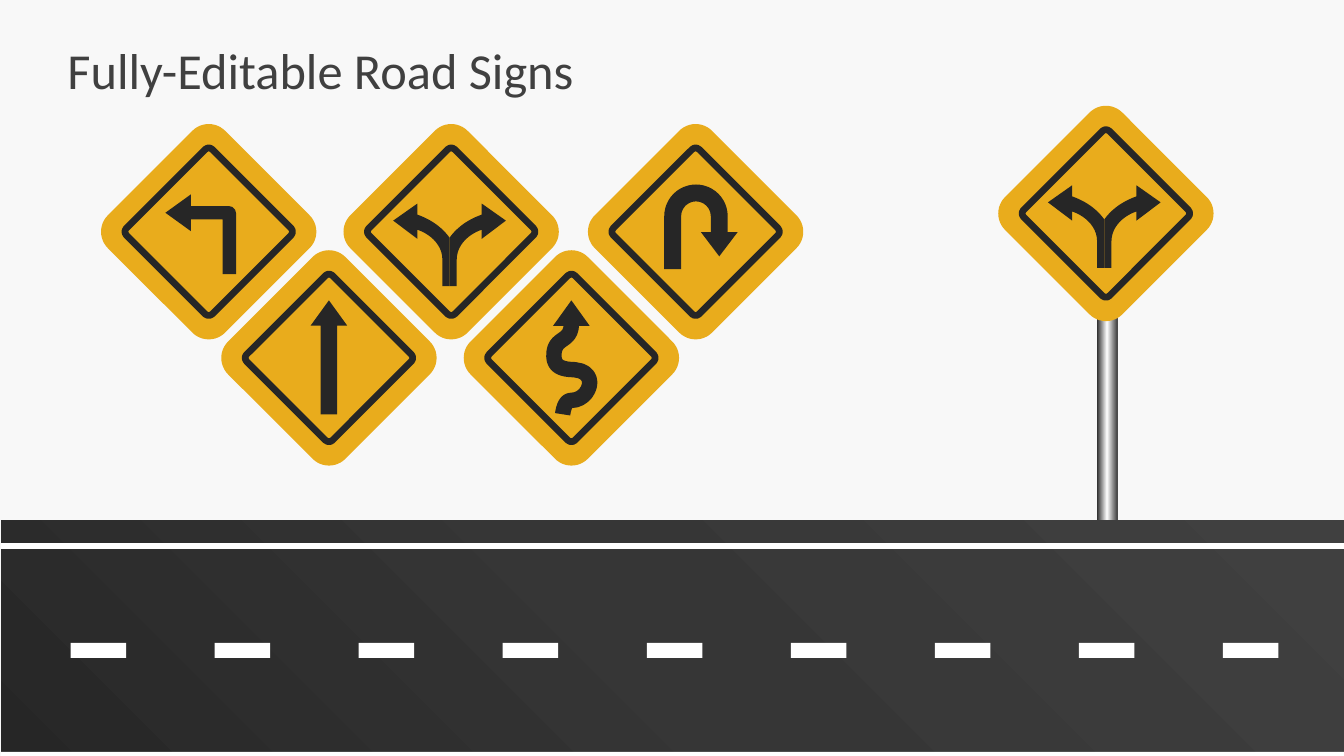
from copy import deepcopy

from pptx import Presentation
from pptx.dml.color import RGBColor
from pptx.enum.shapes import MSO_SHAPE as SHAPE
from pptx.enum.text import MSO_ANCHOR as ANCHOR, MSO_AUTO_SIZE as AUTO_SIZE, PP_ALIGN as ALIGN
from pptx.oxml.ns import qn
from pptx.util import Cm, Pt

COLOURS = {"sky": "F8F8F8", "title": "404040", "white": "FFFFFF", "sign": "E9AC1C",
           "dark": "262626", "asphalt": "363636", "light": "404040"}
RGB = {name: RGBColor.from_string(code) for name, code in COLOURS.items()}
FINE = 1000  # outline subdivisions of a centimetre
CURVE_STEPS = 12


def add_preset(shapes, kind, left, top, width, height, colour=None):
    part = shapes.add_shape(kind, Cm(left), Cm(top), Cm(width), Cm(height))
    part.shadow.inherit = False
    part.line.fill.background()
    if colour:
        part.fill.solid()
        part.fill.fore_color.rgb = RGB[colour]
    return part


def add_outline(shapes, x, y, steps, close):
    """Pairs are straight lines; six numbers are a curve (two controls, end)."""
    points = [steps[0]]
    for step in steps[1:]:
        if len(step) == 2:
            points.append(step)
            continue
        curve = (*points[-1], *step)
        for i in range(1, CURVE_STEPS + 1):
            t = i / CURVE_STEPS
            weights = ((1 - t) ** 3, 3 * t * (1 - t) ** 2, 3 * t * t * (1 - t), t ** 3)
            points.append(tuple(sum(w * n for w, n in zip(weights, curve[axis::2]))
                                for axis in (0, 1)))
    points = [(px * FINE, py * FINE) for px, py in points]
    builder = shapes.build_freeform(*points[0], scale=Cm(1) / FINE)
    builder.add_line_segments(points[1:], close=close)
    outline = builder.convert_to_shape(Cm(x), Cm(y))
    outline.shadow.inherit = False
    return outline


prs = Presentation()
prs.slide_width, prs.slide_height = Cm(33.87), Cm(19.05)
slide = prs.slides.add_slide(prs.slide_layouts[5])
slide.background.fill.solid()
slide.background.fill.fore_color.rgb = RGB["sky"]

# Title
title = slide.shapes.title
title.left, title.top, title.width, title.height = Cm(1.7), Cm(0.76), Cm(30.48), Cm(1.98)
heading = title.text_frame
heading.text = "Fully-Editable Road Signs"
for key, value in {"margin_left": 0, "margin_right": 0, "margin_top": Cm(0.18),
                   "margin_bottom": Cm(0.18), "vertical_anchor": ANCHOR.MIDDLE,
                   "auto_size": AUTO_SIZE.NONE, "word_wrap": True}.items():
    setattr(heading, key, value)
heading.paragraphs[0].alignment = ALIGN.LEFT
title_font = heading.paragraphs[0].runs[0].font
for key, value in {"name": "Calibri", "size": Pt(36), "bold": False}.items():
    setattr(title_font, key, value)
title_font.color.rgb = RGB["title"]

# Road with lane dashes and edge lines, then the sign post
ROAD_LEFT, ROAD_WIDTH = 0.03, 33.86
road = add_preset(slide.shapes, SHAPE.RECTANGLE, ROAD_LEFT, 13.11, ROAD_WIDTH, 6.58)
for i in range(9):
    add_preset(slide.shapes, SHAPE.RECTANGLE, 1.78 + 3.63 * i, 16.2, 1.4, 0.38, "white")
for top in (18.95, 13.69):
    add_preset(slide.shapes, SHAPE.RECTANGLE, ROAD_LEFT, top, ROAD_WIDTH, 0.14, "white")
post = add_preset(slide.shapes, SHAPE.RECTANGLE, 27.64, 7.95, 0.52, 5.16)
for part, middle, angle in ((road, "asphalt", 45), (post, "white", 0)):
    part.fill.gradient()
    part.fill.gradient_angle = angle
    stop_list = part.element.spPr.find(".//" + qn("a:gsLst"))
    stop_list.insert(1, deepcopy(stop_list[0]))
    for i, (stop, colour) in enumerate(zip(part.fill.gradient_stops, ("dark", middle, "light"))):
        stop.color.rgb = RGB[colour]
        stop.position = i / 2

# Arrows, in cm from the sign centre: preset, box, adjustments
PRESET_ARROWS = {
    "left turn": (SHAPE.BENT_ARROW, (-1.09, -0.94, 1.78, 2.01), (0.19, 0.26, 0.36, 0.1)),
    "u-turn": (SHAPE.U_TURN_ARROW, (-0.79, -1.19, 1.85, 2.13), (0.23, 0.25, 0.33, 0.44, 0.85)),
    "straight": (SHAPE.UP_ARROW, (-0.46, -1.45, 0.92, 2.87), (0.45, 0.69)),
    "winding": (SHAPE.ISOSCELES_TRIANGLE, (-0.46, -1.45, 0.92, 0.64), ()),
}
WINDING_ROAD = [(0, -0.86), (0, -0.36, -0.46, -0.56, -0.44, -0.03),
                (-0.43, 0.33, 0, 0.28, 0.1, 0.3), (0.71, 0.36, 0.46, 1.07, 0, 1.07),
                (-0.15, 1.07, -0.2, 1.27, -0.22, 1.42)]
FORK_STEM, FORK_TIP = 0.18, 0.81
fork_branch = [(0, 0.15), (0.25, -0.2, 0.61, -0.36, FORK_TIP, -0.43), (FORK_TIP, -0.71),
               (1.42, -0.28), (FORK_TIP, 0.18), (FORK_TIP, -0.05),
               (0.56, 0.03, FORK_STEM, 0.28, FORK_STEM, 0.71), (FORK_STEM, 1.37)]

# Signs: yellow plate, dark band, arrow
signs = [("left turn", 5.26, 5.84), ("fork", 11.37, 5.84), ("u-turn", 17.53, 5.84),
         ("winding", 14.4, 9.02), ("straight", 8.29, 9.02), ("fork", 27.87, 5.38)]
for arrow, x, y in signs:
    sign = slide.shapes.add_group_shape().shapes
    for side, rounding, colour in ((4.18, 0.14, "sign"), (3.06, 0.04, None)):
        panel = add_preset(sign, SHAPE.ROUNDED_RECTANGLE, x - side / 2, y - side / 2,
                           side, side, colour)
        panel.adjustments[0] = rounding
        panel.rotation = 45
    panel.fill.background()
    panel.line.color.rgb = RGB["dark"]
    panel.line.width = Pt(4.8)

    if arrow == "fork":
        for side in (1, -1):
            branch = [tuple(n * side if i % 2 == 0 else n for i, n in enumerate(step))
                      for step in fork_branch]
            half = add_outline(sign, x - 0.04, y, branch + [(0, 1.37)], True)
            half.fill.solid()
            half.fill.fore_color.rgb = RGB["dark"]
            half.line.fill.background()
        continue
    kind, (left, top, width, height), adjustments = PRESET_ARROWS[arrow]
    pointer = add_preset(sign, kind, x + left, y + top, width, height, "dark")
    for i, value in enumerate(adjustments):
        pointer.adjustments[i] = value
    if arrow == "left turn":
        pointer.element.spPr.find(qn("a:xfrm")).set("flipH", "1")
    if arrow == "winding":
        bends = add_outline(sign, x, y, WINDING_ROAD, False)
        bends.fill.background()
        bends.line.color.rgb = RGB["dark"]
        bends.line.width = Pt(11)

prs.save("out.pptx")
